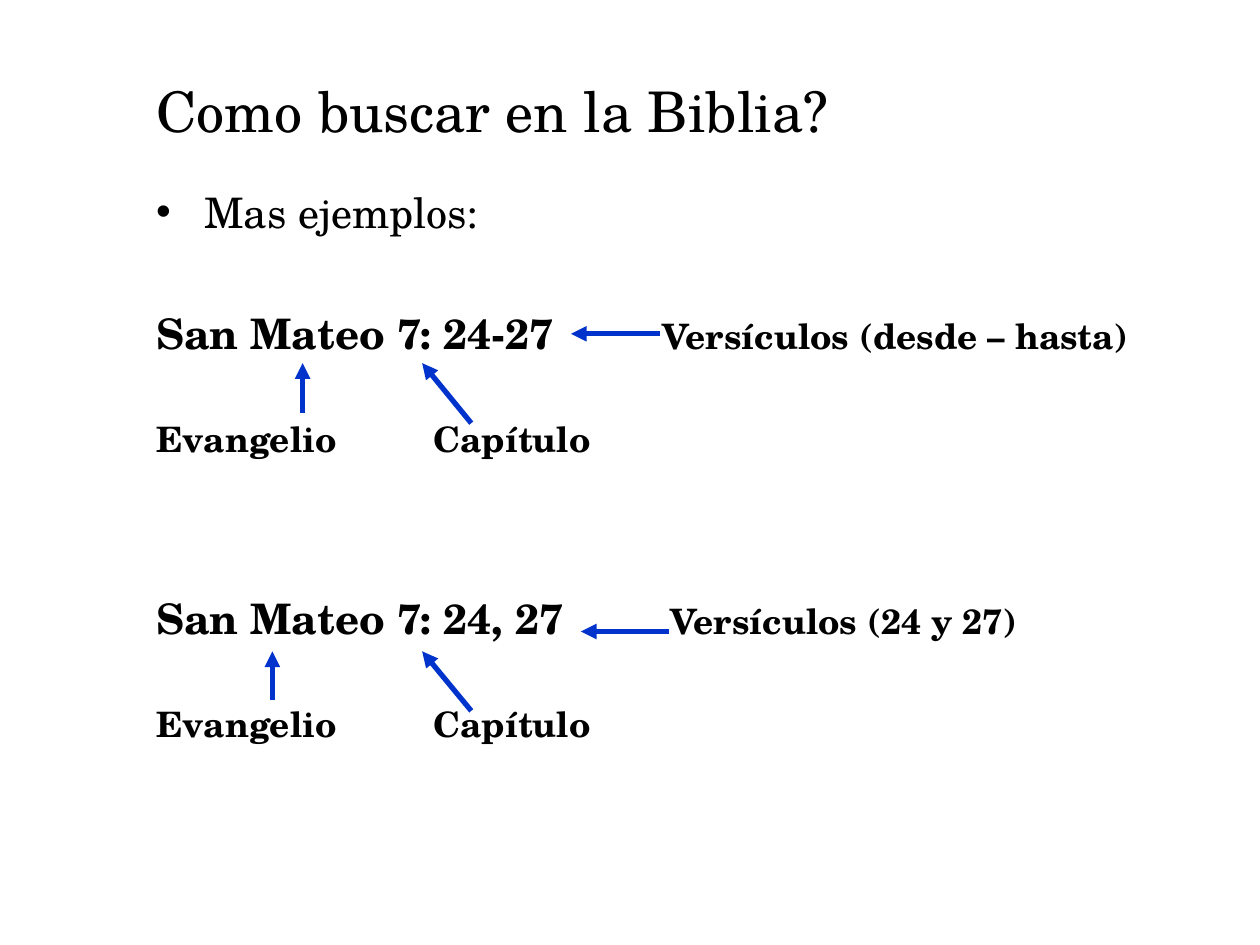
"""Build a slide that explains how to read Bible references."""
from lxml import etree
from pptx import Presentation
from pptx import util as u
from pptx.dml.color import RGBColor
from pptx.enum import shapes, text
from pptx.oxml import ns

FONT = "TeX Gyre Schola"
COLORS = {"text": "000000", "arrow": "0033CC"}
TITLE = "Como buscar en la Biblia?"
INTRO = "Mas ejemplos:"
LABELS = ("Evangelio", "Capítulo")
LABEL_TAB = 5.58
EXAMPLES = [
    {"reference": "San Mateo 7: 24-27", "verses": "Versículos (desde – hasta)",
     "tab": 10.2, "before": 40.6},
    {"reference": "San Mateo 7: 24, 27", "verses": "Versículos (24 y 27)",
     "tab": 10.36, "before": 76.2},
]
LABEL_BEFORE = 33.8
ARROWS = [
    ((6.1, 8.33), (6.1, 7.32)),
    ((9.5, 8.53), (8.51, 7.32)),
    ((13.31, 6.73), (11.51, 6.73)),
    ((5.49, 14.12), (5.49, 13.13)),
    ((9.5, 14.33), (8.51, 13.13)),
    ((13.49, 12.73), (11.71, 12.73)),
]


def add_box(page, top, height, anchor):
    box = page.shapes.add_textbox(u.Cm(2.9), u.Cm(top), u.Cm(21.41), u.Cm(height))
    box.text_frame.word_wrap = True
    box.text_frame.vertical_anchor = anchor
    return box.text_frame


def add_span(para, words, size, bold=False):
    span = para.add_run()
    span.text = words
    span.font.name = FONT
    span.font.size = u.Pt(size)
    span.font.bold = bold
    span.font.color.rgb = RGBColor.from_string(COLORS["text"])


def add_bullet(para, indent):
    props = para._p.get_or_add_pPr()
    props.set("marL", str(u.Cm(indent)))
    props.set("indent", str(-u.Cm(indent)))
    etree.SubElement(props, ns.qn("a:buFont"), typeface="Arial")
    etree.SubElement(props, ns.qn("a:buChar"), char="•")


def add_row(frame, cells, sizes, tab, before):
    para = frame.add_paragraph()
    tabs = etree.SubElement(para._p.get_or_add_pPr(), ns.qn("a:tabLst"))
    etree.SubElement(tabs, ns.qn("a:tab"), pos=str(u.Cm(tab)), algn="l")
    para.space_before = u.Pt(before)
    add_span(para, cells[0], sizes[0], bold=True)
    add_span(para, "\t" + cells[1], sizes[1], bold=True)


def add_arrow(page, start, end):
    points = [u.Cm(value) for value in start + end]
    arrow = page.shapes.add_connector(shapes.MSO_CONNECTOR.STRAIGHT, *points)
    arrow.line.color.rgb = RGBColor.from_string(COLORS["arrow"])
    arrow.line.width = u.Pt(3)
    etree.SubElement(arrow.line._get_or_add_ln(), ns.qn("a:tailEnd"), type="triangle")
    etree.SubElement(arrow._element.spPr, ns.qn("a:effectLst"))


def main():
    deck = Presentation()
    deck.slide_width, deck.slide_height = u.Cm(25.4), u.Cm(19.05)
    page = deck.slides.add_slide(deck.slide_layouts[6])

    title = add_box(page, 0.64, 2.39, text.MSO_ANCHOR.BOTTOM)
    add_span(title.paragraphs[0], TITLE, 32)

    body = add_box(page, 3.63, 13.59, text.MSO_ANCHOR.TOP)
    add_bullet(body.paragraphs[0], 0.97)
    add_span(body.paragraphs[0], INTRO, 24)
    for example in EXAMPLES:
        cells = example["reference"], example["verses"]
        add_row(body, cells, (24, 20), example["tab"], example["before"])
        add_row(body, LABELS, (20, 20), LABEL_TAB, LABEL_BEFORE)

    for start, end in ARROWS:
        add_arrow(page, start, end)
    deck.save("out.pptx")


if __name__ == "__main__":
    main()
